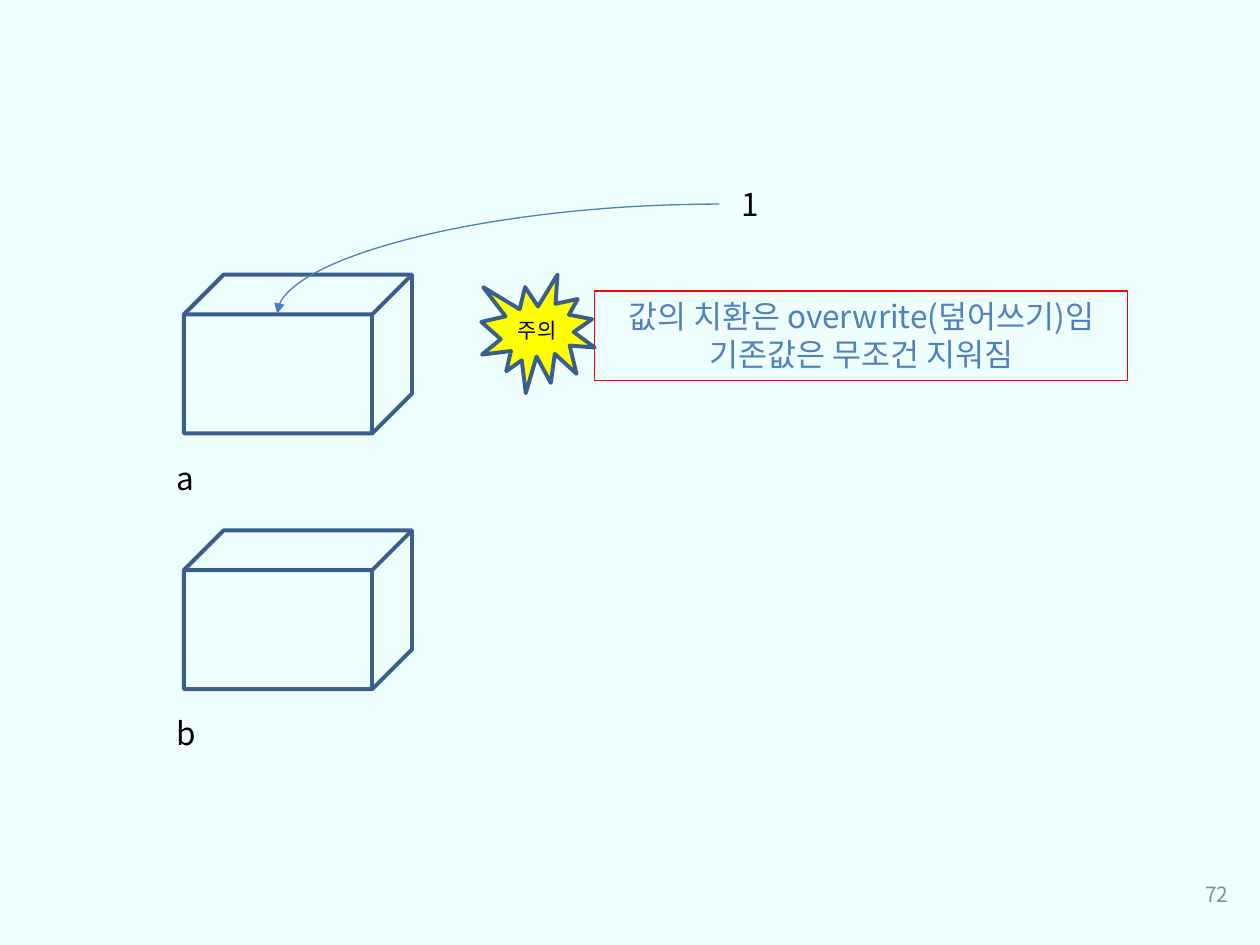
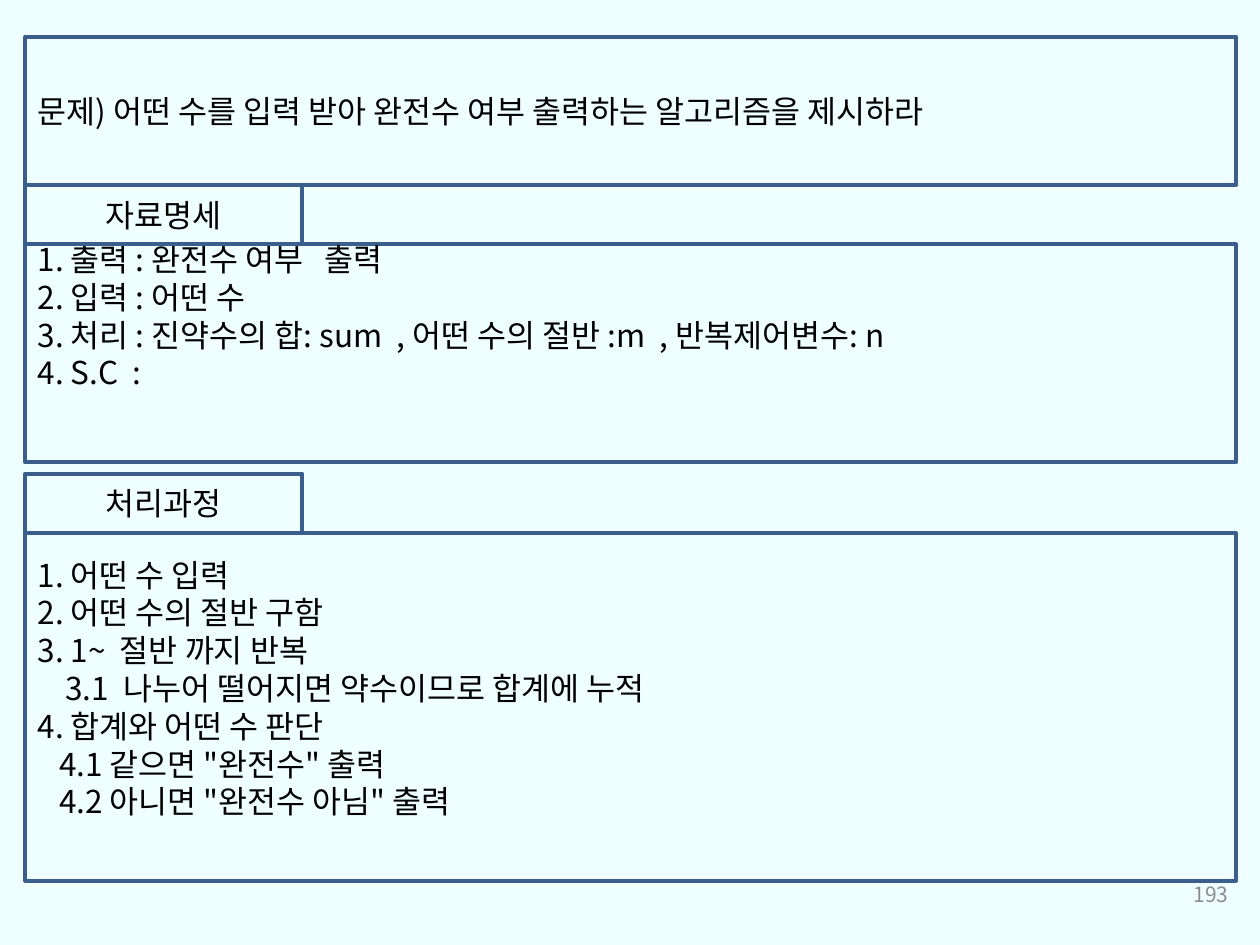
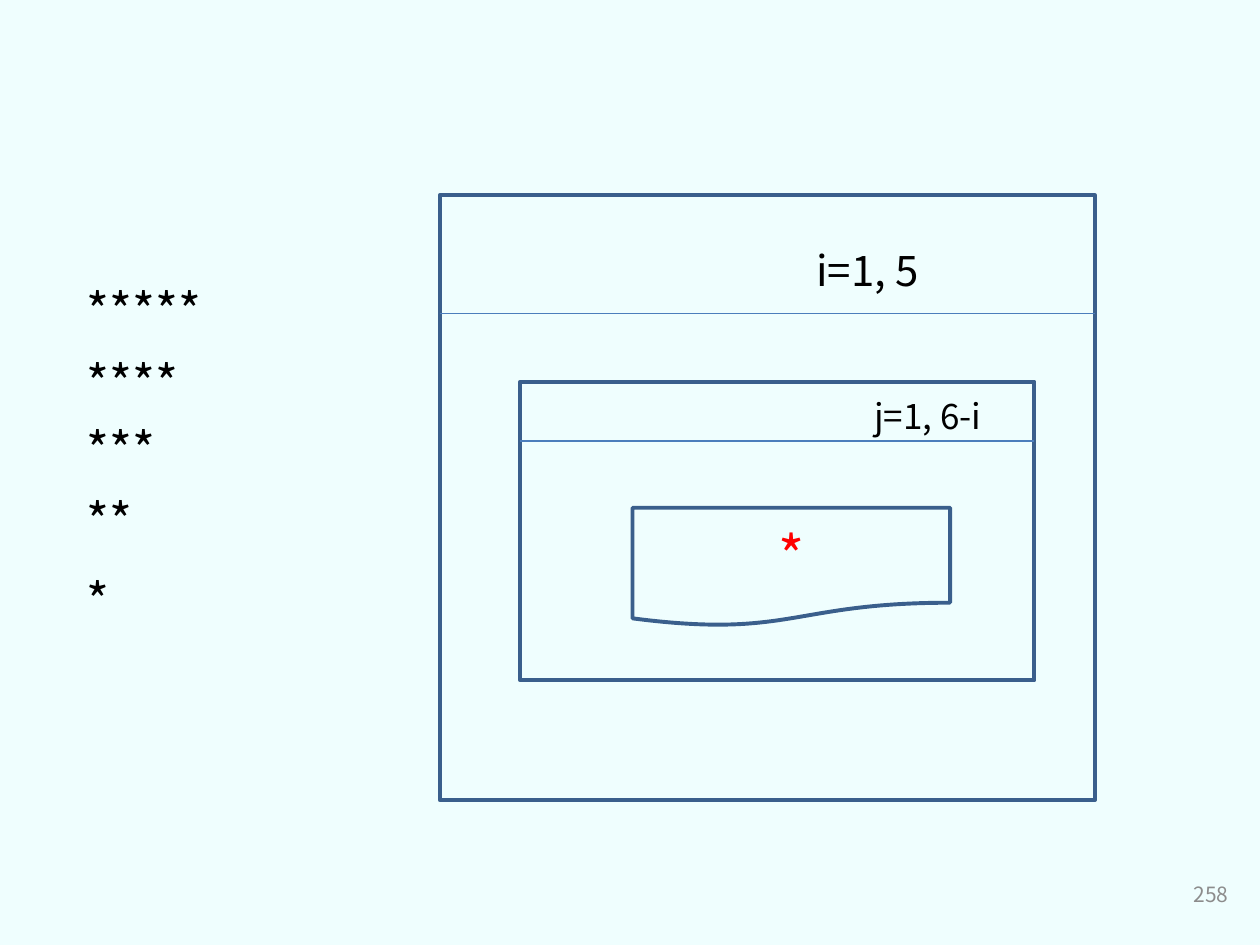
from lxml import etree
from pptx import Presentation
from pptx.dml.color import RGBColor
from pptx.enum.shapes import MSO_CONNECTOR, MSO_SHAPE
from pptx.enum.text import MSO_ANCHOR, PP_ALIGN
from pptx.oxml.ns import qn
from pptx.util import Inches, Pt

LEFT, CENTER, RIGHT = PP_ALIGN.LEFT, PP_ALIGN.CENTER, PP_ALIGN.RIGHT
TOP, MIDDLE = MSO_ANCHOR.TOP, MSO_ANCHOR.MIDDLE
RECTANGLE, CUBE = MSO_SHAPE.RECTANGLE, MSO_SHAPE.CUBE
BURST, DOCUMENT = MSO_SHAPE.EXPLOSION1, MSO_SHAPE.FLOWCHART_DOCUMENT
STRAIGHT, CURVE = MSO_CONNECTOR.STRAIGHT, MSO_CONNECTOR.CURVE

FONT = "Noto Sans CJK KR"
BACKGROUND = RGBColor(0xEF, 0xFE, 0xFE)
BLACK = RGBColor(0, 0, 0)
GRAY = RGBColor(0x8C, 0x8C, 0x8C)
NAVY = RGBColor(0x3A, 0x5F, 0x8C)
BLUE = RGBColor(0x4B, 0x7E, 0xBC)
NOTE_BLUE = RGBColor(0x4F, 0x81, 0xBD)
RED = RGBColor(0xFF, 0, 0)
YELLOW = RGBColor(0xFF, 0xFF, 0)

# Slide 72: variables as boxes
VARIABLES = [("a", 2.18), ("b", 4.21)]
VARIABLE_LEFT, VARIABLE_WIDTH, VARIABLE_HEIGHT = 1.46, 1.81, 1.26
ASSIGNED_VALUE = "1"
OVERWRITE_NOTE = ["값의 치환은 overwrite(덮어쓰기)임", "기존값은 무조건 지워짐"]
WARNING = "주의"

# Slide 193: algorithm sheet
PROBLEM = "문제) 어떤 수를 입력 받아 완전수 여부 출력하는 알고리즘을 제시하라"
SHEET_LEFT, SHEET_WIDTH = 0.2, 9.61
TAB_WIDTH, TAB_HEIGHT = 2.2, 0.47
LINE_PITCH = 0.3
# heading, tab top, body height, free lines below the text, (line, indent)
SECTIONS = [
    ("자료명세", 1.47, 1.73, 2, [
        ("1. 출력 : 완전수 여부   출력", 0),
        ("2. 입력 : 어떤 수", 0),
        ("3. 처리 : 진약수의 합: sum  , 어떤 수의 절반 :m  , 반복제어변수: n", 0),
        ("4. S.C  :", 0),
    ]),
    ("처리과정", 3.76, 2.76, 1, [
        ("1. 어떤 수 입력", 0),
        ("2. 어떤 수의 절반 구함", 0),
        ("3. 1~  절반 까지 반복", 0),
        ("3.1  나누어 떨어지면 약수이므로 합계에 누적", 0.22),
        ("4. 합계와 어떤 수 판단", 0),
        ('4.1 같으면 "완전수" 출력', 0.17),
        ('4.2 아니면 "완전수 아님" 출력', 0.17),
    ]),
]

# Slide 258: nested loops
# condition, size, condition position, frame (left, top, width, height), header height
LOOPS = [
    ("i=1, 5", 24, (6.38, 1.89), (3.49, 1.55, 5.2, 4.8), 0.94),
    ("j=1, 6-i", 20, (6.84, 3.08), (4.13, 3.03, 4.08, 2.37), 0.47),
]
STAR = "*"
STAR_ROW_TOPS = [2.18, 2.75, 3.28, 3.84, 4.48]


def write(shape, lines, size=18, color=BLACK, align=LEFT, anchor=MIDDLE, wrap=True):
    """Fill a shape with paragraphs; a line is a text or a (text, indent) pair."""
    frame = shape.text_frame
    frame.word_wrap = wrap
    frame.vertical_anchor = anchor
    for index, line in enumerate(lines):
        text, indent = (line, 0) if isinstance(line, str) else line
        paragraph = frame.add_paragraph() if index else frame.paragraphs[0]
        paragraph.text = text
        paragraph.alignment = align
        if indent:
            paragraph._p.get_or_add_pPr().set("marL", str(Inches(indent)))
        font = paragraph.font
        font.size = Pt(size)
        font.color.rgb = color
        font.name = FONT
        etree.SubElement(font._element, qn("a:ea"), typeface=FONT)


def add_label(slide, text, left, top, width, height, size=18, **style):
    label = slide.shapes.add_textbox(*map(Inches, (left, top, width, height)))
    write(label, [text], size, **{"anchor": TOP, **style})


def add_outline(slide, kind, box, line=NAVY, weight=2.25, fill=None):
    shape = slide.shapes.add_shape(kind, *map(Inches, box))
    shape.shadow.inherit = False
    if fill is None:
        shape.fill.background()
    else:
        shape.fill.solid()
        shape.fill.fore_color.rgb = fill
    shape.line.color.rgb = line
    shape.line.width = Pt(weight)
    return shape


def add_line(slide, kind, start, end):
    line = slide.shapes.add_connector(kind, *map(Inches, start + end))
    line.line.color.rgb = BLUE
    line.line.width = Pt(0.75)
    etree.SubElement(line._element.spPr, qn("a:effectLst"))
    return line


def add_slide(prs, number):
    slide = prs.slides.add_slide(prs.slide_layouts[6])
    slide.background.fill.solid()
    slide.background.fill.fore_color.rgb = BACKGROUND
    add_label(slide, str(number), 7.52, 6.9, 2.33, 0.4, 12,
              color=GRAY, align=RIGHT, anchor=MIDDLE)
    return slide


def build_assignment(prs):
    slide = add_slide(prs, 72)
    for name, top in VARIABLES:
        add_outline(slide, CUBE, (VARIABLE_LEFT, top, VARIABLE_WIDTH, VARIABLE_HEIGHT))
        add_label(slide, name, 1.3, top + 1.41, 0.47, 0.4)
    add_label(slide, ASSIGNED_VALUE, 5.79, 1.42, 0.55, 0.4)

    arrow = add_line(slide, CURVE, (5.71, 1.62), (2.2, 2.49))
    arrow._element.spPr.find(qn("a:prstGeom")).set("prst", "curvedConnector2")
    etree.SubElement(arrow.line._get_or_add_ln(), qn("a:tailEnd"), type="triangle")

    note = add_outline(slide, RECTANGLE, (4.72, 2.31, 4.23, 0.71), RED, 0.75)
    write(note, OVERWRITE_NOTE, color=NOTE_BLUE, align=CENTER, anchor=TOP, wrap=False)
    warning = add_outline(slide, BURST, (3.82, 2.18, 0.9, 0.94), fill=YELLOW)
    write(warning, [WARNING], 12, align=CENTER)


def build_algorithm_sheet(prs):
    slide = add_slide(prs, 193)
    problem = add_outline(slide, RECTANGLE, (SHEET_LEFT, 0.29, SHEET_WIDTH, 1.18))
    write(problem, [PROBLEM])
    for heading, top, height, free_lines, lines in SECTIONS:
        body = add_outline(slide, RECTANGLE,
                           (SHEET_LEFT, top + TAB_HEIGHT, SHEET_WIDTH, height))
        write(body, lines)
        body.text_frame.margin_bottom = Inches(0.05 + free_lines * LINE_PITCH)
        tab = add_outline(slide, RECTANGLE, (SHEET_LEFT, top, TAB_WIDTH, TAB_HEIGHT))
        write(tab, [heading], align=CENTER)


def build_nested_loops(prs):
    slide = add_slide(prs, 258)
    for condition, size, position, frame, header_height in LOOPS:
        left, top, width, _ = frame
        header_bottom = top + header_height
        add_outline(slide, RECTANGLE, frame)
        add_line(slide, STRAIGHT, (left, header_bottom), (left + width, header_bottom))
        add_label(slide, condition, *position, 2.76, 0.5, size)
    output = add_outline(slide, DOCUMENT, (5.02, 4.03, 2.52, 0.94))
    write(output, [STAR], 32, RED, CENTER)
    for row, top in enumerate(STAR_ROW_TOPS):
        add_label(slide, STAR * (len(STAR_ROW_TOPS) - row), 0.59, top, 2.36, 0.57, 28)


def main():
    prs = Presentation()
    prs.slide_width, prs.slide_height = Inches(10), Inches(7.5)
    build_assignment(prs)
    build_algorithm_sheet(prs)
    build_nested_loops(prs)
    prs.save("out.pptx")


if __name__ == "__main__":
    main()
